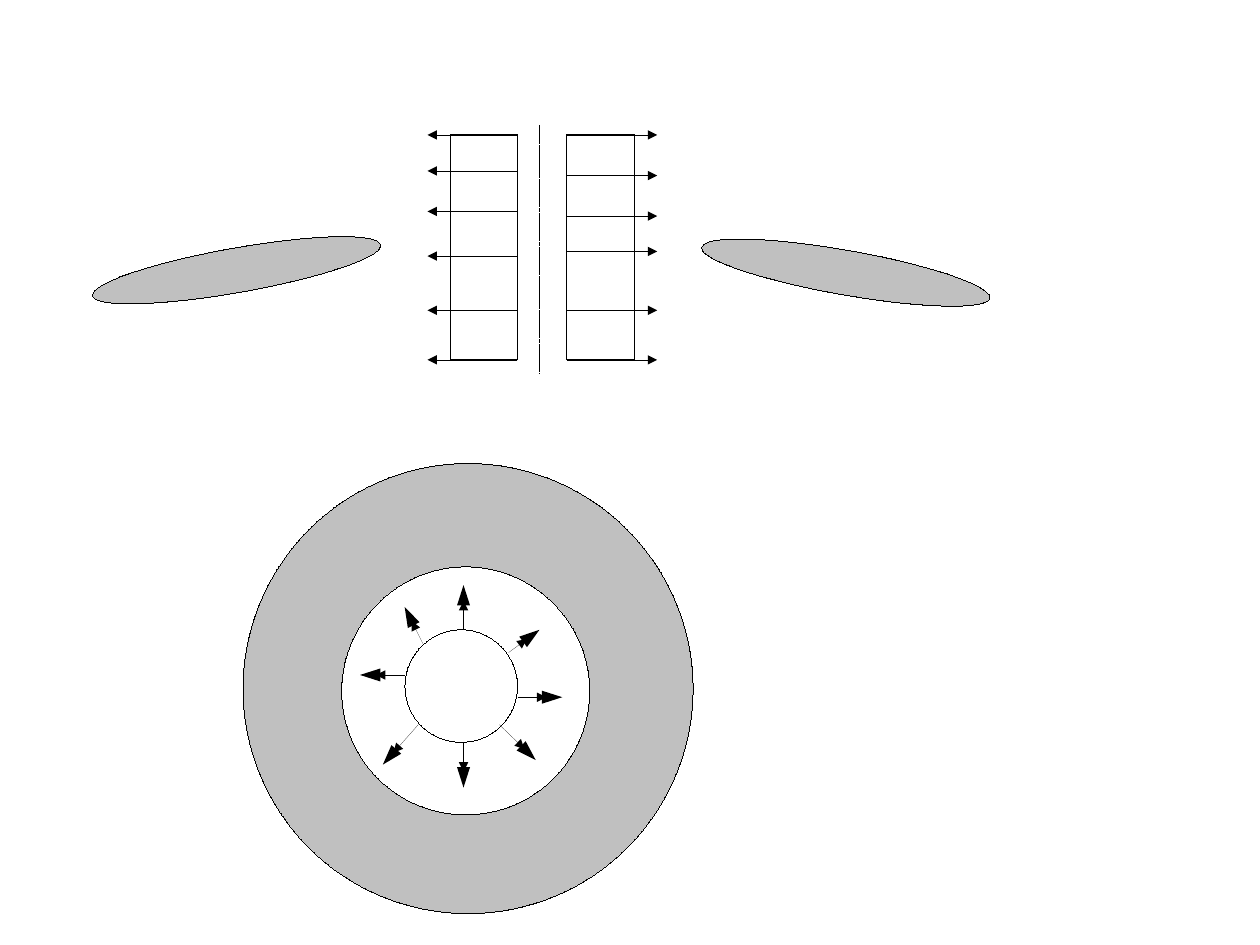
import math
import pptx
import pptx.util
import pptx.dml.color
import pptx.enum.dml
import pptx.enum.shapes
import lxml.etree
import pptx.oxml.ns

Pt = pptx.util.Pt
KIND = pptx.enum.shapes.MSO_SHAPE
BLACK = pptx.dml.color.RGBColor(0, 0, 0)
WHITE = pptx.dml.color.RGBColor(255, 255, 255)
GREY = pptx.dml.color.RGBColor(192, 192, 192)

PAGE = (793.7, 595.28)
WINGS = [(56.9, 156.2, 350), (440.6, 157.7, 10)]
WING = (184.3, 28.1)
WALL = (42.5, 141.7)
TOP = 85
WALLS = [
    (283.5, 326, 269.3, 0, [85, 107.7, 133.2, 161.3, 195.5, 226.7]),
    (357.1, 357.1, 414, 180, [85, 110.6, 136.1, 158.4, 195.5, 226.7]),
]
AXIS = (340, 79.2, 340, 235.4)
RINGS = [
    (153.1, 292, 283.5, GREY),
    (215.3, 357.1, 156.2, WHITE),
    (255.1, 396.7, 70.9, None),
]
RAYS = [
    (292, 396.7, 292, 368.6),
    (292, 468, 292, 496.1),
    (254.9, 425.2, 226.8, 425.2),
    (266.4, 405.4, 254.9, 382.3),
    (320.4, 411.1, 339.8, 396.7),
    (314.6, 456.5, 337.5, 478.8),
    (326.2, 439.2, 354.2, 439.2),
    (263.5, 456.5, 241.2, 481.7),
]
HEAD, HALF, BACK = 12.8, 4.1, 10


def paint(shape, fill):
    shape.shadow.inherit = False
    if fill is None:
        shape.fill.background()
    else:
        shape.fill.solid()
        shape.fill.fore_color.rgb = fill


def edge(shape):
    shape.line.color.rgb = BLACK
    stroke = shape._element.spPr.find(pptx.oxml.ns.qn("a:ln"))
    stroke.set("w", "0")
    return stroke


def add_form(kind, left, top, size, fill=None, turn=0):
    shape = slide.shapes.add_shape(kind, Pt(left), Pt(top), *map(Pt, size))
    shape.rotation = turn
    paint(shape, fill)
    edge(shape)


def add_line(ends, arrow=True):
    line = slide.shapes.add_connector(
        pptx.enum.shapes.MSO_CONNECTOR.STRAIGHT, *map(Pt, ends))
    stroke = edge(line)
    if arrow:
        tip = lxml.etree.SubElement(stroke, pptx.oxml.ns.qn("a:tailEnd"))
        tip.set("type", "triangle")
    lxml.etree.SubElement(line._element.spPr, pptx.oxml.ns.qn("a:effectLst"))
    return line


def add_ray(x, y, tipx, tipy):
    span = math.hypot(tipx - x, tipy - y)
    dx, dy = (tipx - x) / span, (tipy - y) / span
    basex, basey = tipx - HEAD * dx, tipy - HEAD * dy
    build = slide.shapes.build_freeform(Pt(tipx), Pt(tipy))
    build.add_line_segments([
        (Pt(basex + side * dy), Pt(basey - side * dx))
        for side in (HALF, -HALF)])
    head = build.convert_to_shape()
    paint(head, BLACK)
    head.line.fill.background()
    add_line((x, y, tipx - BACK * dx, tipy - BACK * dy))


deck = pptx.Presentation()
deck.slide_width, deck.slide_height = map(Pt, PAGE)
slide = deck.slides.add_slide(deck.slide_layouts[6])

for left, top, turn in WINGS:
    add_form(KIND.OVAL, left, top, WING, GREY, turn)

axis = add_line(AXIS, arrow=False)
axis.line.dash_style = pptx.enum.dml.MSO_LINE.SQUARE_DOT

for left, start, end, turn, rows in WALLS:
    add_form(KIND.RECTANGLE, left, TOP, WALL, turn=turn)
    for y in rows:
        add_line((start, y, end, y))

for left, top, size, fill in RINGS:
    add_form(KIND.OVAL, left, top, (size, size), fill)

for ray in RAYS:
    add_ray(*ray)

deck.save("out.pptx")
